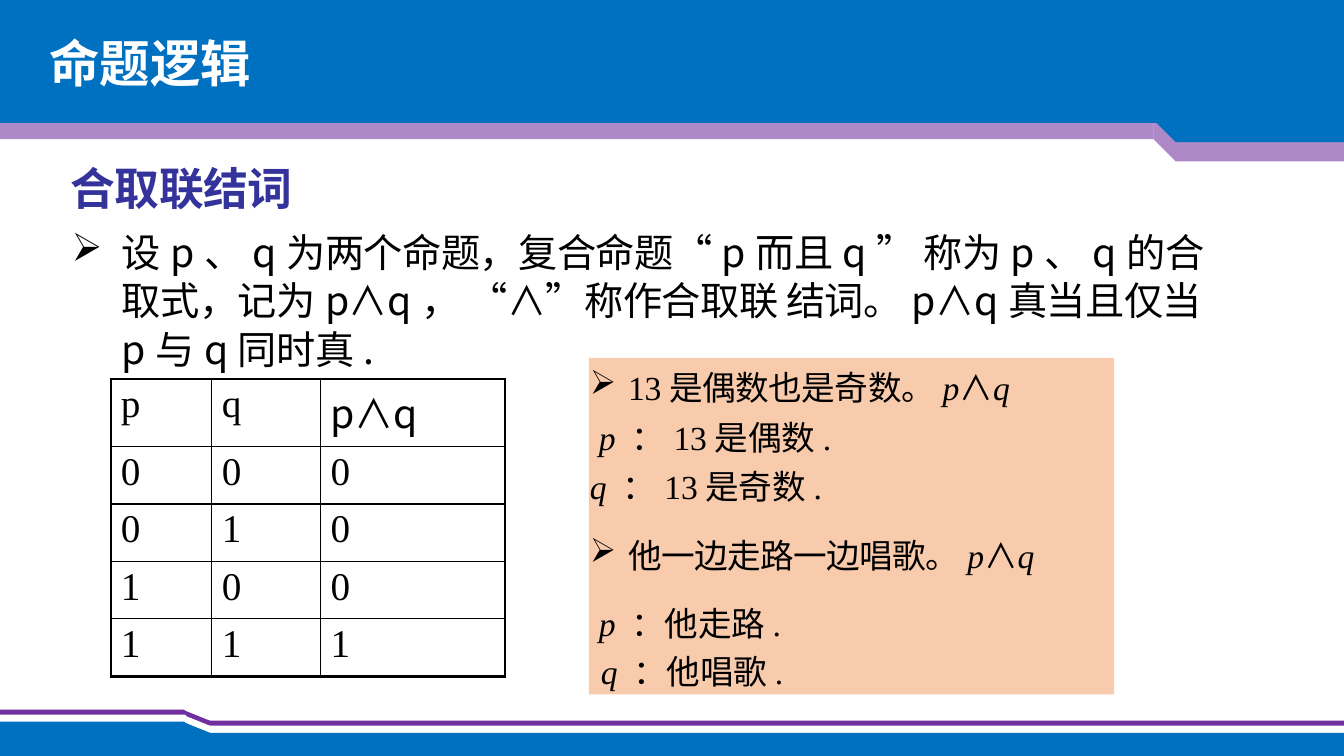
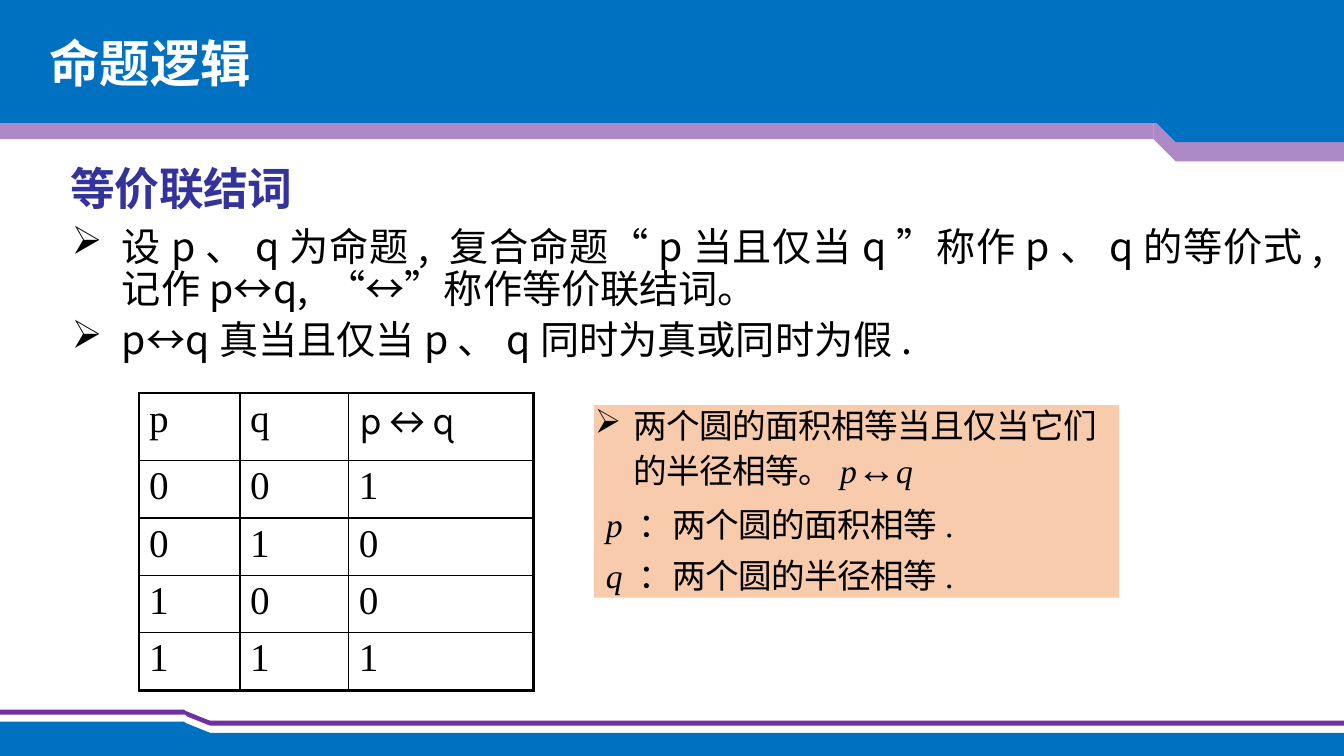
"""Build two slides on propositional logic: conjunction and equivalence."""
from dataclasses import dataclass

from lxml.etree import SubElement
from pptx import Presentation
from pptx.dml.color import RGBColor
from pptx.enum.shapes import MSO_SHAPE
from pptx.enum.text import MSO_ANCHOR, PP_ALIGN
from pptx.oxml.ns import qn
from pptx.util import Inches, Pt


@dataclass(frozen=True)
class Theme:
    blue: str = "0070C0"
    purple: str = "7030A0"
    white: str = "FFFFFF"
    ink: str = "000000"
    heading: str = "33339B"
    peach: str = "F8CBAD"
    title_size: float = 36
    heading_size: float = 32
    body_size: float = 28
    card_size: float = 24
    outer_line: float = 2.25
    inner_line: float = 1


THEME = Theme()
HAN, ROMAN = "Noto Sans CJK SC", "Times New Roman"
STYLES = {
    "title": dict(font=HAN, bold=True),
    "heading": dict(font=HAN, bold=True, spacing=-50),
    "tight": dict(font=HAN, spacing=-35),
    "loose": dict(font=HAN),
    "han": dict(font=HAN, spacing=-40),
    "symbol": dict(font=HAN, spacing=-20),
    "roman": dict(font=ROMAN, spacing=-20),
    "var": dict(font=ROMAN, spacing=-20, italic=True),
    "arrow": dict(font=ROMAN, spacing=-20, size=28),
    "digit": dict(font=ROMAN),
    "karla": dict(font="Karla", spacing=-20),
    "calibri": dict(font="Calibri", spacing=-20),
}


def write(frame, paragraphs, size, color=THEME.ink, align=None):
    """Fill a frame with (left, first, line, before, bullet, runs) paragraphs."""
    frame.word_wrap = True
    for number, (left, first, line, before, bullet, runs) in enumerate(paragraphs):
        paragraph = frame.paragraphs[0] if number == 0 else frame.add_paragraph()
        paragraph.alignment = align or PP_ALIGN.LEFT
        paragraph.space_before = Pt(before)
        if line:
            paragraph.line_spacing = line
        properties = paragraph._p.get_or_add_pPr()
        properties.set("marL", str(Inches(left)))
        properties.set("indent", str(Inches(first)))
        if bullet:
            SubElement(properties, qn("a:buChar")).set("char", "➢")
        for text, style_name in runs:
            style = STYLES[style_name]
            run = paragraph.add_run()
            run.text = text
            run.font.size = Pt(style.get("size", size))
            run.font.bold = style.get("bold", False)
            run.font.italic = style.get("italic", False)
            run.font.color.rgb = RGBColor.from_string(color)
            run.font.name = style["font"]
            run_properties = run._r.get_or_add_rPr()
            run_properties.set("spc", str(style.get("spacing", 0)))
            SubElement(run_properties, qn("a:ea")).set("typeface", style["font"])


def add_block(slide, box, color=None, kind=MSO_SHAPE.RECTANGLE, margins=(0, 0)):
    """Add a plain filled shape, or a text box when there is no colour."""
    place = [Inches(length) for length in box]
    if color:
        block = slide.shapes.add_shape(kind, *place)
        block.shadow.inherit = False
        block.fill.solid()
        block.fill.fore_color.rgb = RGBColor.from_string(color)
        block.line.fill.background()
    else:
        block = slide.shapes.add_textbox(*place)
    frame = block.text_frame
    frame.vertical_anchor = MSO_ANCHOR.TOP
    frame.margin_left = frame.margin_right = Inches(margins[0])
    frame.margin_top, frame.margin_bottom = Inches(margins[1]), 0
    return block


LESSONS = [
    dict(
        heading="合取联结词",
        body_box=(0.7, 2.18, 11.27, 1.54),
        body_align=PP_ALIGN.LEFT,
        body=[
            (0.51, -0.5, Pt(34.6), 5.3, True, [(
                "设p、q为两个命题，复合命题“p而且q” 称为p、q的合取式，记为p∧q， "
                "“∧”称作合取联 结词。p∧q真当且仅当p与q同时真.", "tight")]),
        ],
        table_at=(1.1, 3.76),
        formula=[("p∧q", "symbol")],
        truth="0001",
        card_box=(5.84, 3.55, 5.21, 3.34),
        card=[
            (0.39, -0.38, 1.2, 1, True, [
                ("13", "roman"), ("是偶数也是奇数。", "han"),
                ("p", "var"), ("∧", "symbol"), ("q", "var")]),
            (0.1, 0, 1.2, 1, False, [
                ("p ", "var"), ("：", "symbol"), ("13", "roman"),
                ("是偶数", "han"), (".", "roman")]),
            (0.01, 0, 1.2, 1, False, [
                ("q ", "var"), ("：", "symbol"), ("13", "roman"),
                ("是奇数", "han"), (".", "roman")]),
            (0.39, -0.38, Pt(46.1), 2.8, True, [
                ("他一边走路一边唱歌。", "han"),
                ("p", "var"), ("∧", "symbol"), ("q", "var")]),
            (0.1, 0, Pt(46.1), 2.8, False, [
                ("p ", "var"), ("：他走路", "han"), (".", "roman")]),
            (0.12, 0, None, 4.9, False, [
                ("q ", "var"), ("：他唱歌", "han"), (".", "roman")]),
        ],
    ),
    dict(
        heading="等价联结词",
        body_box=(0.7, 2.18, 12.43, 1.98),
        body_align=PP_ALIGN.JUSTIFY,
        body=[
            (0.51, -0.5, Pt(30.2), 4.8, True, [(
                "设p、q为命题, 复合命题“p当且仅当q”称作p、q的等价式, "
                "记作p↔q, “↔”称作等价联结词。", "loose")]),
            (0.51, -0.5, None, 3, True, [
                ("p↔q真当且仅当p、q同时为真或同时为假.", "loose")]),
        ],
        table_at=(1.38, 3.9),
        formula=[("p", "karla"), ("↔", "calibri"), ("q", "karla")],
        truth="1001",
        card_box=(5.89, 4.02, 5.21, 1.91),
        card=[
            (0.39, -0.38, 0.99, 1.5, True, [
                ("两个圆的面积相等当且仅当它们的半径相等。", "han"),
                ("p", "var"), ("↔", "arrow"), ("q", "var")]),
            (0.12, 0, None, 8.2, False, [
                ("p ", "var"), ("：两个圆的面积相等", "han"), (".", "roman")]),
            (0.12, 0, None, 7.7, False, [
                ("q ", "var"), ("：两个圆的半径相等", "han"), (".", "roman")]),
        ],
    ),
]
COLUMN_WIDTHS = [1, 1.08, 1.83]
ROW_HEIGHTS = [0.67] + [0.57] * 4

presentation = Presentation()
presentation.slide_width, presentation.slide_height = Inches(13.33), Inches(7.5)
layout = presentation.slide_layouts[6]
slides = [presentation.slides.add_slide(layout) for _ in LESSONS]

bands = []
for left, top, color in [(-0.02, 7.04, THEME.purple), (-0.01, 7.09, THEME.white),
                         (-0.02, 7.16, THEME.blue)]:
    bands += [
        (MSO_SHAPE.SNIP_1_RECTANGLE, (left, top, 1.9, 0.32), color, 0, 100),
        (MSO_SHAPE.RECTANGLE, (left, top + 0.11, 13.37, 0.23), color, 0, 100),
        (MSO_SHAPE.RIGHT_TRIANGLE, (1.81, top, 0.62, 0.25), color, 0, 100),
    ]
bands += [
    (MSO_SHAPE.SNIP_1_RECTANGLE, (11.44, 0.28, 1.9, 1.32), THEME.purple, 180, 57),
    (MSO_SHAPE.RECTANGLE, (-0.03, 0.14, 11.47, 1.24), THEME.purple, 180, 57),
    (MSO_SHAPE.SNIP_1_RECTANGLE, (11.44, 0.09, 1.9, 1.32), THEME.blue, 180, 100),
    (MSO_SHAPE.RECTANGLE, (-0.04, -0.02, 13.39, 1.24), THEME.blue, 180, 100),
    (MSO_SHAPE.RIGHT_TRIANGLE, (10.9, 0.37, 0.75, 0.99), THEME.blue, 180, 100),
]
for kind, box, color, rotation, opacity in bands:
    band = add_block(slides[0], box, color, kind)
    band.rotation = rotation
    if opacity < 100:
        tint = band.element.spPr.find(".//" + qn("a:srgbClr"))
        SubElement(tint, qn("a:alpha")).set("val", str(opacity * 1000))
    layout.shapes.element.append(band.element)

for slide, lesson in zip(slides, LESSONS):
    title = add_block(slide, (0.39, 0.27, 8.34, 0.7), margins=(0.1, 0.05))
    write(title.text_frame, [(0, 0, None, 0, False, [("命题逻辑", "title")])],
          THEME.title_size, THEME.white)
    heading = add_block(slide, (-0.24, 1.53, 3.58, 0.6), margins=(0, 0.06))
    write(heading.text_frame,
          [(0.5, 0, None, 5.7, False, [(lesson["heading"], "heading")])],
          THEME.heading_size, THEME.heading, PP_ALIGN.CENTER)
    body = add_block(slide, lesson["body_box"], margins=(0, 0.07))
    write(body.text_frame, lesson["body"], THEME.body_size, align=lesson["body_align"])
    card = add_block(slide, lesson["card_box"], THEME.peach, margins=(0, 0.01))
    write(card.text_frame, lesson["card"], THEME.card_size)

    left, top = lesson["table_at"]
    truth_table = slide.shapes.add_table(
        len(ROW_HEIGHTS), len(COLUMN_WIDTHS), Inches(left), Inches(top),
        Inches(sum(COLUMN_WIDTHS)), Inches(sum(ROW_HEIGHTS))).table
    truth_table.first_row = truth_table.horz_banding = False
    for column, width in zip(truth_table.columns, COLUMN_WIDTHS):
        column.width = Inches(width)
    for row, height in zip(truth_table.rows, ROW_HEIGHTS):
        row.height = Inches(height)

    entries = [[[("p", "digit")], [("q", "digit")], lesson["formula"]]]
    for inputs, result in zip(["00", "01", "10", "11"], lesson["truth"]):
        entries.append([[(digit, "digit")] for digit in inputs + result])
    last_row, last_column = len(ROW_HEIGHTS) - 1, len(COLUMN_WIDTHS) - 1
    for r, entry_row in enumerate(entries):
        for c, runs in enumerate(entry_row):
            cell = truth_table.cell(r, c)
            cell.margin_left, cell.margin_top = Inches(0.1), Inches(0.04)
            cell.margin_right = cell.margin_bottom = 0
            write(cell.text_frame, [(0, 0, None, 2.7, False, runs)], THEME.body_size)
            cell_properties = cell._tc.get_or_add_tcPr()
            for side, is_outer in [("L", c == 0), ("R", c == last_column),
                                   ("T", r == 0), ("B", r == last_row)]:
                weight = THEME.outer_line if is_outer else THEME.inner_line
                border = SubElement(cell_properties, qn("a:ln" + side))
                border.set("w", str(Pt(weight)))
                border_fill = SubElement(border, qn("a:solidFill"))
                SubElement(border_fill, qn("a:srgbClr")).set("val", THEME.ink)
            cell.fill.background()

presentation.save("out.pptx")
